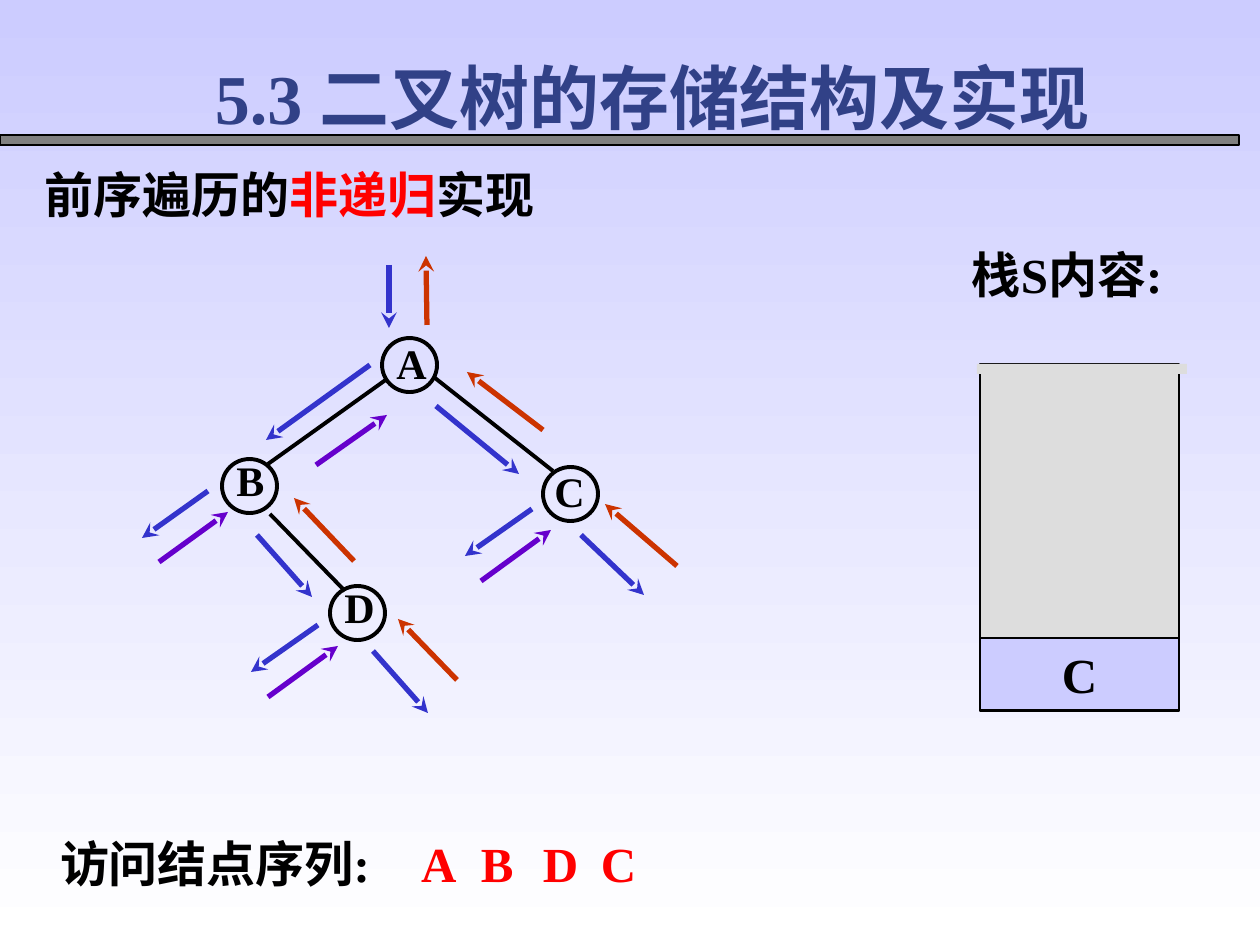
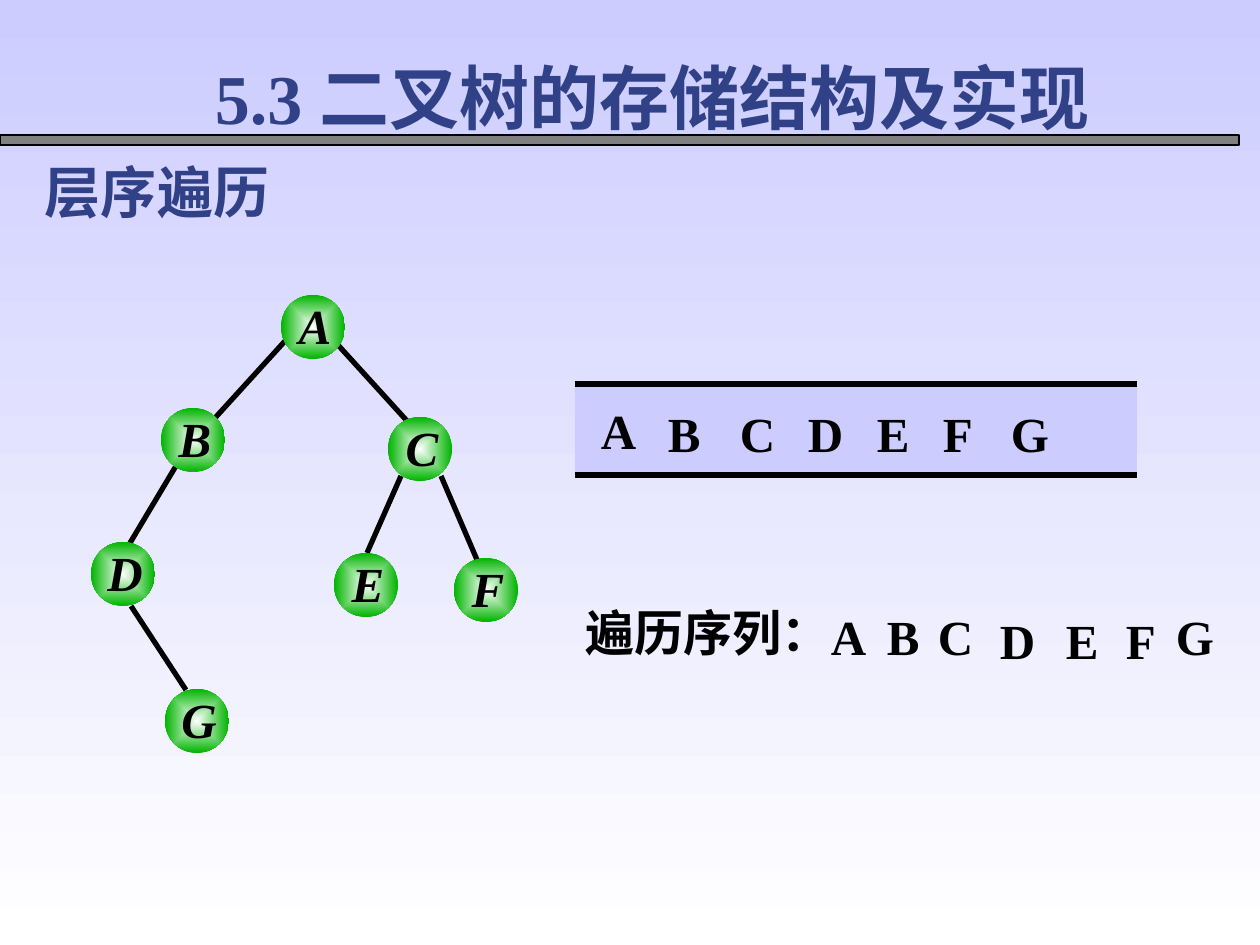
from dataclasses import dataclass
from typing import Any

from lxml.etree import SubElement
from pptx import Presentation
from pptx.dml.color import RGBColor
from pptx.enum.shapes import MSO_CONNECTOR, MSO_SHAPE
from pptx.enum.text import MSO_ANCHOR, MSO_AUTO_SIZE, PP_ALIGN
from pptx.oxml.ns import qn
from pptx.util import Emu, Pt


@dataclass(frozen=True)
class Theme:
    sky: str = "CCCCFF"
    white: str = "FFFFFF"
    black: str = "000000"
    bar: str = "808080"
    stack: str = "DDDDDD"
    navy: str = "314187"
    red: str = "FF0000"
    ball: str = "00B400"
    descend: str = "3333CC"
    back_left: str = "6600CC"
    back_right: str = "CC3300"
    latin: str = "Times New Roman"
    cjk: str = "Noto Sans CJK SC"
    title: int = 40
    heading: int = 32
    body: int = 28
    node: int = 24
    hairline: float = 0.75
    outline: float = 2.25
    thick: float = 3


T = Theme()
PX = 914400 / 126
INSETS = (13, 6, 13, 6)
FLUSH = (0, 6, 0, 6)


def px(n):
    return Emu(round(n * PX))


def rgb(code):
    return RGBColor.from_string(code)


def fill_text(tf, parts, size, font=T.latin, italic=False, align=PP_ALIGN.LEFT,
              insets=INSETS, grow=True):
    """Write (text, colour) parts as one bold paragraph."""
    tf.word_wrap = True
    tf.vertical_anchor = MSO_ANCHOR.TOP
    tf.margin_left, tf.margin_top, tf.margin_right, tf.margin_bottom = map(px, insets)
    p = tf.paragraphs[0]
    p.alignment = align
    if grow:
        tf.auto_size = MSO_AUTO_SIZE.SHAPE_TO_FIT_TEXT
        p.space_before = Pt(size * 0.625)
    for text, color in parts:
        r = p.add_run()
        r.text = text
        r.font.size, r.font.bold, r.font.italic = Pt(size), True, italic
        r.font.name = font
        r.font.color.rgb = rgb(color)
        SubElement(r.font._element, qn("a:ea"), typeface=T.cjk)


@dataclass
class Region:
    """A box on a slide; everything added is placed from its top left corner."""
    slide: Any
    x: int
    y: int
    w: int
    h: int

    def box(self, x, y, w, h):
        return px(self.x + x), px(self.y + y), px(w), px(h)

    def text(self, box, parts, size=T.body, **style):
        s = self.slide.shapes.add_textbox(*self.box(*box))
        if isinstance(parts, str):
            parts = [(parts, T.black)]
        fill_text(s.text_frame, parts, size, **style)

    def shape(self, box, fill=None, line=None, width=T.hairline, kind=MSO_SHAPE.RECTANGLE):
        s = self.slide.shapes.add_shape(kind, *self.box(*box))
        s.shadow.inherit = False
        if fill:
            s.fill.solid()
            s.fill.fore_color.rgb = rgb(fill)
        else:
            s.fill.background()
        if line:
            s.line.color.rgb = rgb(line)
            s.line.width = Pt(width)
        else:
            s.line.fill.background()
        return s

    def line(self, x1, y1, x2, y2, color=T.black, width=T.thick, arrow=False):
        c = self.slide.shapes.add_connector(
            MSO_CONNECTOR.STRAIGHT, px(self.x + x1), px(self.y + y1),
            px(self.x + x2), px(self.y + y2))
        c.line.color.rgb = rgb(color)
        c.line.width = Pt(width)
        if arrow:
            SubElement(c.line._get_or_add_ln(), qn("a:tailEnd"), type="stealth")
        SubElement(c.element.spPr, qn("a:effectLst"))


def set_gradient(fill, first, last):
    fill.gradient()
    for stop, color, position in zip(fill.gradient_stops, (first, last), (0, 1)):
        stop.color.rgb = rgb(color)
        stop.position = position


def new_slide(prs):
    """Add a slide with the shared background, bar and title."""
    slide = prs.slides.add_slide(prs.slide_layouts[6])
    fill = slide.background.fill
    set_gradient(fill, T.sky, T.white)
    fill.gradient_angle = 270
    page = Region(slide, 0, 0, 1260, 945)
    page.shape((0, 135, 1239, 10), T.bar, T.black)
    page.text((202, 48, 971, 97), [("5.3 二叉树的存储结构及实现", T.navy)], T.title,
              align=PP_ALIGN.JUSTIFY)
    return slide, page


def letters(region, names, xs, ys, w, color=T.black, insets=INSETS):
    for name, x, y in zip(names, xs, ys):
        region.text((x, y, w, region.h), [(name, color)], insets=insets)


def traversal_tree(region):
    """Binary tree with the walk drawn around it as arrows."""
    nodes = {  # circle corner, then offset of its label
        "A": (242, 88, 6, 0), "D": (190, 336, 6, -4),
        "B": (82, 209, 5, -4), "C": (403, 217, 3, -1),
    }
    edges = [(247, 129, 128, 214), (295, 128, 413, 221), (130, 264, 205, 341)]
    walk = {
        T.descend: [
            (249, 15, 249, 78), (230, 115, 126, 190), (68, 241, 2, 288),
            (117, 285, 172, 347), (233, 401, 288, 463), (296, 156, 379, 224),
            (392, 259, 325, 306), (178, 375, 111, 422), (441, 285, 504, 345)],
        T.back_left: [
            (176, 215, 247, 165), (19, 312, 88, 262),
            (341, 331, 411, 280), (128, 447, 198, 396)],
        T.back_right: [
            (317, 430, 258, 369), (214, 311, 154, 248), (403, 180, 327, 122),
            (287, 75, 286, 6), (537, 316, 465, 254)],
    }
    for name, (x, y, dx, dy) in nodes.items():
        region.text((x + dx, y + dy, 47, 66), name, T.node, align=PP_ALIGN.CENTER,
                    insets=(0, 0, 0, 0), grow=False)
        region.shape((x, y, 55, 54), line=T.black, width=T.outline, kind=MSO_SHAPE.OVAL)
    for edge in edges:
        region.line(*edge, width=T.outline)
    for color, arrows in walk.items():
        for arrow in arrows:
            region.line(*arrow, color=color, arrow=True)


def stack(region):
    region.text((0, 0, region.w, 131), "栈S内容:")
    region.shape((21, 126, 199, 347), T.stack, T.black)
    region.shape((18, 126, 210, 10), T.stack)
    cell = region.shape((21, 400, 199, 72), T.sky, T.black)
    fill_text(cell.text_frame, [("C", T.black)], T.body, align=PP_ALIGN.CENTER)


def visit_order(region):
    region.text((0, 0, 336, region.h), "访问结点序列:", insets=FLUSH)
    letters(region, "ABDC", (361, 421, 483, 541), (0, 0, 1, 1), 42, T.red, FLUSH)


def level_tree(region):
    """Binary tree of shaded balls."""
    size = 64
    balls = {"A": (191, 5), "B": (71, 118), "C": (298, 127), "D": (1, 252),
             "E": (244, 263), "F": (364, 268), "G": (75, 399)}
    edges = [(196, 50, 125, 128), (248, 55, 318, 132), (86, 176, 40, 253),
             (41, 316, 96, 400), (311, 186, 277, 263), (351, 186, 388, 272)]
    for edge in edges:
        region.line(*edge)
    for name, (x, y) in balls.items():
        ball = region.shape((x, y, size, size), T.ball, kind=MSO_SHAPE.OVAL)
        set_gradient(ball.fill, T.white, T.ball)
        shade_from_centre(ball)
        region.text((x + 7, y - 5, 54, 84), name, italic=True, align=PP_ALIGN.CENTER,
                    insets=(0, 5, 0, 0), grow=False)


def shade_from_centre(s):
    grad = s.element.spPr.find(qn("a:gradFill"))
    lin = grad.find(qn("a:lin"))
    if lin is not None:
        grad.remove(lin)
    shade = SubElement(grad, qn("a:path"))
    shade.set("path", "rect")
    SubElement(shade, qn("a:fillToRect"), l="50000", t="50000", r="50000", b="50000")


def queue(region):
    region.shape((0, 3, region.w, 88), T.sky)
    for y in (0, 91):
        region.line(0, y, region.w, y)
    letters(region, "ABCDEFG", (13, 80, 152, 220, 289, 355, 423), [10] + [13] * 6, 66)


def level_order(region):
    region.text((0, 0, region.w, region.h), "遍历序列：")
    letters(region, "ABCDEFG", (245, 301, 352, 414, 480, 540, 590),
            (5, 5, 5, 8, 8, 8, 5), 66)


def preorder_slide(prs):
    slide, page = new_slide(prs)
    page.text((32, 158, 640, 72),
              [("前序遍历的", T.black), ("非递归", T.red), ("实现", T.black)], font=T.cjk)
    visit_order(Region(slide, 60, 827, 590, 72))
    stack(Region(slide, 959, 238, 231, 474))
    traversal_tree(Region(slide, 140, 250, 540, 470))


def level_order_slide(prs):
    slide, page = new_slide(prs)
    page.text((32, 151, 735, 81), [("层序遍历", T.navy)], T.heading, font=T.cjk)
    level_tree(Region(slide, 90, 290, 430, 465))
    queue(Region(slide, 575, 384, 562, 72))
    level_order(Region(slide, 573, 596, 622, 72))


def main():
    prs = Presentation()
    prs.slide_width, prs.slide_height = px(1260), px(945)
    preorder_slide(prs)
    level_order_slide(prs)
    prs.save("out.pptx")


if __name__ == "__main__":
    main()
